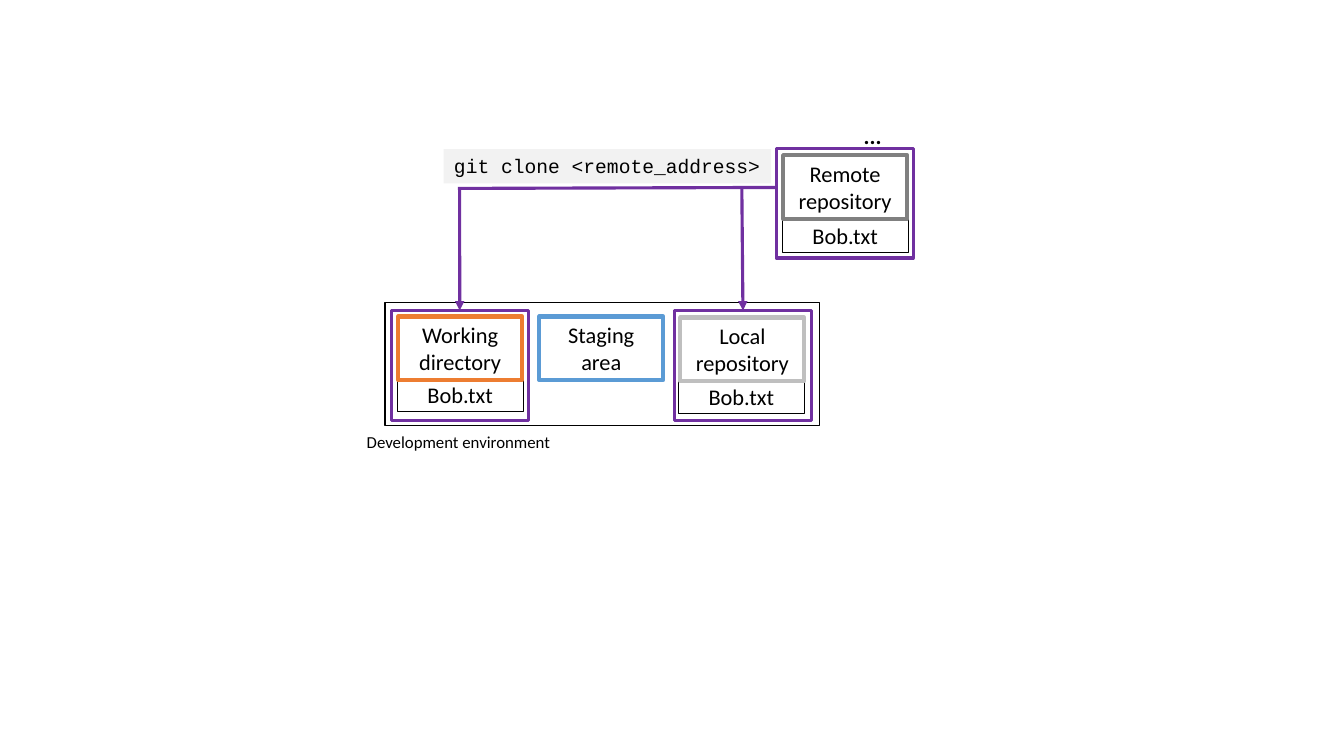
from pptx import Presentation
from pptx.dml.color import RGBColor
from pptx.enum.shapes import MSO_CONNECTOR, MSO_SHAPE
from pptx.enum.text import MSO_ANCHOR, MSO_AUTO_SIZE, PP_ALIGN
from pptx.oxml.ns import qn
from pptx.util import Pt
from lxml import etree

BLACK = RGBColor(0x00, 0x00, 0x00)
PURPLE = RGBColor(0x70, 0x30, 0xA0)
ORANGE = RGBColor(0xED, 0x7D, 0x31)
BLUE = RGBColor(0x5B, 0x9B, 0xD5)
LIGHT_GRAY = RGBColor(0xBF, 0xBF, 0xBF)
GRAY = RGBColor(0x80, 0x80, 0x80)
CODE_FILL = RGBColor(0xF2, 0xF2, 0xF2)

prs = Presentation()
prs.slide_width, prs.slide_height = Pt(960), Pt(540)
s = prs.slides.add_slide(prs.slide_layouts[6])


def add_box(x, y, w, h, color, weight, text=""):
    """Add an unfilled outlined rectangle with centred 16 pt text."""
    sp = s.shapes.add_shape(MSO_SHAPE.RECTANGLE, Pt(x), Pt(y), Pt(w), Pt(h))
    sp.shadow.inherit = False
    sp.fill.background()
    sp.line.color.rgb = color
    sp.line.width = Pt(weight)
    if text:
        tf = sp.text_frame
        tf.word_wrap = True
        tf.vertical_anchor = MSO_ANCHOR.MIDDLE
        tf.text = text
        for p in tf.paragraphs:
            p.alignment = PP_ALIGN.CENTER
            p.font.name, p.font.size = "Calibri", Pt(16)
            p.font.color.rgb = BLACK
    return sp


def add_line(x1, y1, x2, y2, arrow=False):
    cxn = s.shapes.add_connector(MSO_CONNECTOR.STRAIGHT, Pt(x1), Pt(y1), Pt(x2), Pt(y2))
    cxn.line.color.rgb = PURPLE
    cxn.line.width = Pt(2.25)
    if arrow:
        etree.SubElement(cxn.line._get_or_add_ln(), qn("a:tailEnd"), type="triangle")
    etree.SubElement(cxn._element.spPr, qn("a:effectLst"))
    return cxn


# Files, then the development environment around them
for x, y in [(484.5, 271.5), (283.7, 270), (558.7, 156.2)]:
    add_box(x, y, 90, 23.8, BLACK, 0.25, "Bob.txt")
add_box(275, 216, 310.3, 87.8, BLACK, 1)

# Areas and repositories
for x, y, color, text in [
    (284.4, 226.1, ORANGE, "Working directory"),
    (385.2, 226.1, BLUE, "Staging area"),
    (486, 226.8, LIGHT_GRAY, "Local repository"),
    (559.4, 110.9, GRAY, "Remote\nrepository"),
]:
    add_box(x, y, 88.6, 45.4, color, 3, text)

# Purple frames around what the clone touches
working_frame, local_frame, remote_frame = [
    add_box(x, y, 98, 78.5, PURPLE, 2.25)
    for x, y in [(279.4, 221.8), (481.7, 221.8), (554.4, 105.8)]
]

# Clone path
add_line(554.4, 133.9, 327, 134.6)
for x, y, frame in [(328.3, 134.6, working_frame), (529.9, 133.9, local_frame)]:
    add_line(x, y, x + 0.7, 221.8, arrow=True).end_connect(frame, 0)

# Captions and command
for x, y, w, h, text, font, size, bold in [
    (254.9, 304.6, 146.9, 21.6, "Development environment", "Calibri", 12, False),
    (609.8, 83.5, 27.4, 26.6, "...", "Calibri", 16, True),
    (316.8, 106.6, 234, 24.5, "git clone <remote_address>", "Courier New", 14, False),
]:
    tb = s.shapes.add_textbox(Pt(x), Pt(y), Pt(w), Pt(h))
    tf = tb.text_frame
    tf.word_wrap = False
    tf.auto_size = MSO_AUTO_SIZE.SHAPE_TO_FIT_TEXT
    tf.text = text
    p = tf.paragraphs[0]
    p.font.name, p.font.size, p.font.bold = font, Pt(size), bold
    p.font.color.rgb = BLACK
    if font == "Courier New":
        tf.word_wrap = True
        p.alignment = PP_ALIGN.CENTER
        tb.fill.solid()
        tb.fill.fore_color.rgb = CODE_FILL

prs.save("out.pptx")
